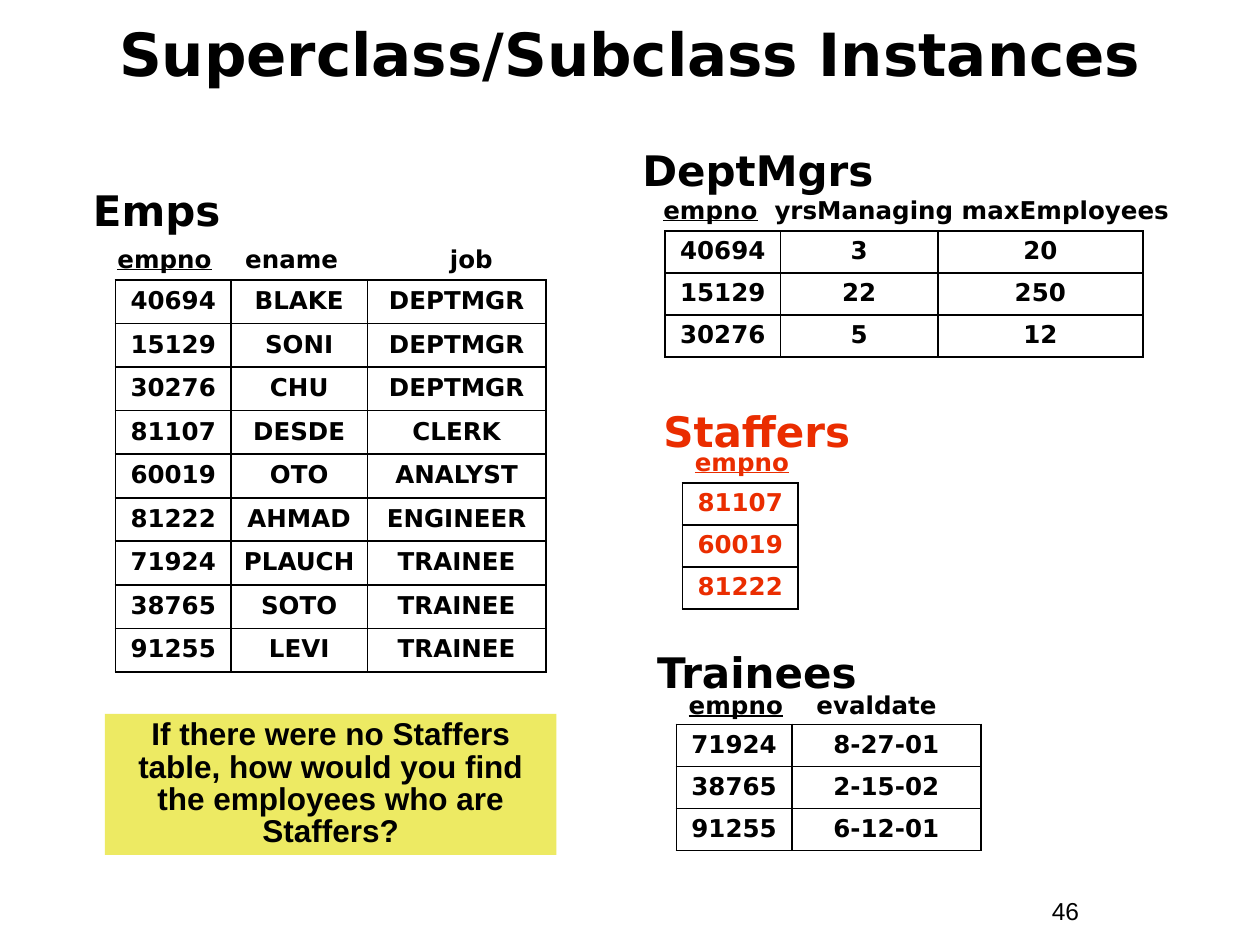
from lxml import etree
from pptx import Presentation
from pptx.dml.color import RGBColor
from pptx.enum.shapes import MSO_SHAPE
from pptx.enum.text import MSO_ANCHOR, PP_ALIGN
from pptx.oxml.ns import qn
from pptx.util import Pt

LEFT, CENTER = PP_ALIGN.LEFT, PP_ALIGN.CENTER
TOP, MIDDLE = MSO_ANCHOR.TOP, MSO_ANCHOR.MIDDLE
RECTANGLE = MSO_SHAPE.RECTANGLE

HEADING_FONT, BODY_FONT = "DejaVu Sans", "Arial"
BLACK, RED, YELLOW = "000000", "EA2D00", "EDEA63"
LABEL_HEIGHT, NAME_HEIGHT, NAME_WIDTH = 24.5, 36, 186
EMPNO_WIDTH = 66


def color(hex_value):
    return RGBColor.from_string(hex_value)


def add_run(paragraph, text, size, font=HEADING_FONT, ink=BLACK,
            bold=True, underline=False):
    run = paragraph.add_run()
    run.text = text
    run.font.name = font
    run.font.size = Pt(size)
    run.font.bold = bold
    run.font.underline = underline
    run.font.color.rgb = color(ink)


def add_label(slide, left, top, width, height, align=LEFT, anchor=TOP,
              spacing=1.0):
    """Add an empty text box and return its paragraph."""
    box = slide.shapes.add_textbox(Pt(left), Pt(top), Pt(width), Pt(height))
    frame = box.text_frame
    frame.word_wrap = True
    frame.vertical_anchor = anchor
    paragraph = frame.paragraphs[0]
    paragraph.alignment = align
    paragraph.line_spacing = spacing
    return paragraph


def set_tab_stops(paragraph, stops):
    tab_list = etree.SubElement(paragraph._p.get_or_add_pPr(), qn("a:tabLst"))
    for stop in stops:
        etree.SubElement(tab_list, qn("a:tab"), pos=str(Pt(stop)), algn="l")


def set_borders(cell, width=1.08):
    properties = cell._tc.get_or_add_tcPr()
    for index, side in enumerate(("lnL", "lnR", "lnT", "lnB")):
        line = etree.Element(qn(f"a:{side}"), w=str(Pt(width)))
        fill = etree.SubElement(line, qn("a:solidFill"))
        etree.SubElement(fill, qn("a:srgbClr"), val=BLACK)
        properties.insert(index, line)


def add_grid(slide, left, top, widths, row_height, rows, ink):
    table = slide.shapes.add_table(
        len(rows), len(widths), Pt(left), Pt(top),
        Pt(sum(widths)), Pt(row_height * len(rows))).table
    table.first_row = False
    table.horz_banding = False
    for column, width in zip(table.columns, widths):
        column.width = Pt(width)
    for row, values in zip(table.rows, rows):
        row.height = Pt(row_height)
        for cell, value in zip(row.cells, values):
            cell.fill.background()
            set_borders(cell)
            cell.vertical_anchor = MIDDLE
            paragraph = cell.text_frame.paragraphs[0]
            paragraph.alignment = CENTER
            paragraph.line_spacing = 0.9
            add_run(paragraph, value, 14, ink=ink)


def add_relation(slide, name, name_at, header_at, header_width, fields, stops,
                 grid_at, widths, row_height, rows, ink=BLACK):
    """Add a relation: its name, its field names with the key underlined, its rows."""
    add_grid(slide, *grid_at, widths, row_height, rows, ink)
    header = add_label(slide, *header_at, header_width, LABEL_HEIGHT)
    set_tab_stops(header, stops)
    add_run(header, "empno", 14, ink=ink, underline=True)
    if fields:
        add_run(header, "\t" + fields, 14, ink=ink)
    add_run(add_label(slide, *name_at, NAME_WIDTH, NAME_HEIGHT), name, 24, ink=ink)


def add_question(slide, text, left, top, width, height):
    box = slide.shapes.add_shape(RECTANGLE, Pt(left), Pt(top), Pt(width), Pt(height))
    box.shadow.inherit = False
    box.fill.solid()
    box.fill.fore_color.rgb = color(YELLOW)
    box.line.fill.background()
    frame = box.text_frame
    frame.word_wrap = True
    frame.vertical_anchor = TOP
    paragraph = frame.paragraphs[0]
    paragraph.alignment = CENTER
    paragraph.line_spacing = 0.85
    add_run(paragraph, text, 18, BODY_FONT)


def main():
    deck = Presentation()
    deck.slide_width, deck.slide_height = Pt(720), Pt(540)
    slide = deck.slides.add_slide(deck.slide_layouts[6])

    title = add_label(slide, 24, 10, 672, 48, CENTER, MIDDLE, 0.8)
    add_run(title, "Superclass/Subclass Instances", 34)

    add_relation(
        slide, "DeptMgrs", (360, 79), (372, 108), 306,
        "yrsManaging maxEmployees", [63.5],
        (380, 132), [EMPNO_WIDTH, 90, 117], 24,
        [("40694", "3", "20"), ("15129", "22", "250"), ("30276", "5", "12")])
    add_relation(
        slide, "Staffers", (372, 228), (390, 252), 102, "", [],
        (390, 276), [EMPNO_WIDTH], 24,
        [("81107",), ("60019",), ("81222",)], RED)
    add_relation(
        slide, "Trainees", (368.5, 366), (386.5, 391), 174, "evaldate", [73],
        (386.5, 414), [EMPNO_WIDTH, 108], 24,
        [("71924", "8-27-01"), ("38765", "2-15-02"), ("91255", "6-12-01")])
    add_relation(
        slide, "Emps", (46, 102), (60, 136), 276, "ename\tjob", [73, 190],
        (66, 160), [EMPNO_WIDTH, 78, 102], 24.9,
        [("40694", "BLAKE", "DEPTMGR"), ("15129", "SONI", "DEPTMGR"),
         ("30276", "CHU", "DEPTMGR"), ("81107", "DESDE", "CLERK"),
         ("60019", "OTO", "ANALYST"), ("81222", "AHMAD", "ENGINEER"),
         ("71924", "PLAUCH", "TRAINEE"), ("38765", "SOTO", "TRAINEE"),
         ("91255", "LEVI", "TRAINEE")])

    add_question(
        slide, "If there were no Staffers table, how would you find "
        "the employees who are Staffers?", 60, 408, 258, 80.6)

    page_number = add_label(slide, 594, 508.5, 66, LABEL_HEIGHT)
    add_run(page_number, "46", 14, BODY_FONT, bold=False)
    deck.save("out.pptx")


if __name__ == "__main__":
    main()
